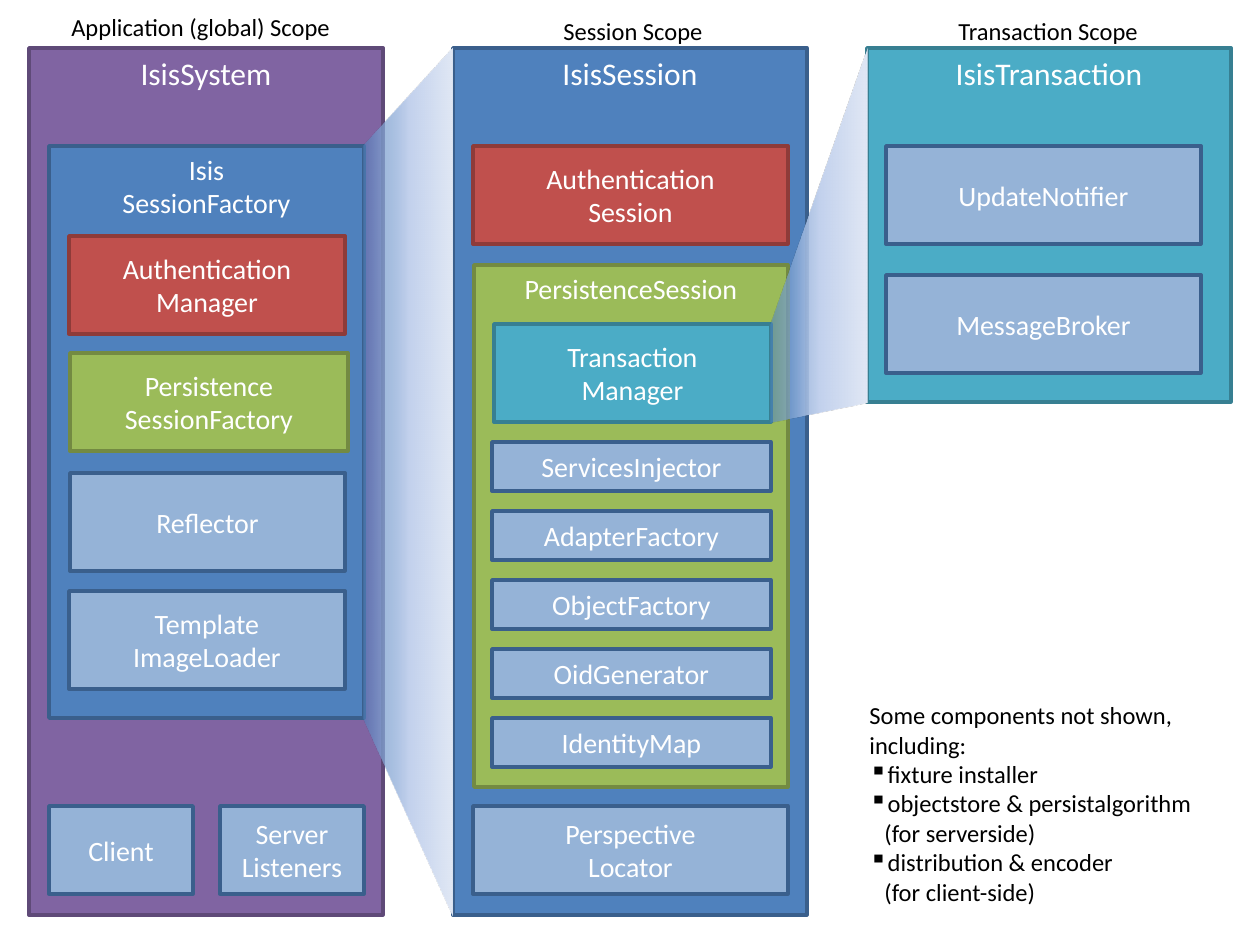
from copy import deepcopy

from lxml.etree import SubElement
from pptx import Presentation
from pptx.dml.color import RGBColor
from pptx.enum.shapes import MSO_SHAPE
from pptx.enum.text import MSO_ANCHOR, PP_ALIGN
from pptx.oxml.ns import qn
from pptx.util import Pt

SCALE = 914400 / 126
THEME = {
    "font": "Calibri",
    "scope_size": 18,
    "component_size": 16,
    "label_size": 14,
    "light": "FFFFFF",
    "dark": "000000",
    "purple": ("8064A2", "5F4A78"),
    "blue": ("4F81BD", "3A5F8C"),
    "red": ("C0504D", "8E3B39"),
    "green": ("9BBB59", "738A42"),
    "teal": ("4BACC6", "377F92"),
    "pale": ("95B3D7", "3A5F8C"),
    "beam": ((0, "4F81BD"), (0.5, "C2D1ED"), (1, "E1E8F5")),
    "beam_alpha": 56,
}


def px(*lengths):
    return [round(length * SCALE) for length in lengths]


def write(shape, lines, size, color, frame_format, alignment):
    frame = shape.text_frame
    for name, value in frame_format.items():
        setattr(frame, name, value)
    for index, line in enumerate(lines):
        paragraph = frame.add_paragraph() if index else frame.paragraphs[0]
        paragraph.text = line
        paragraph.alignment = alignment
        for run in paragraph.runs:
            for name, value in {"name": THEME["font"], "size": Pt(size)}.items():
                setattr(run.font, name, value)
            run.font.color.rgb = RGBColor.from_string(color)


presentation = Presentation()
presentation.slide_width, presentation.slide_height = px(1260, 945)
slide = presentation.slides.add_slide(presentation.slide_layouts[6])

scopes = [
    ("IsisSystem", "purple", 29, 48, 354, 867),
    ("IsisSession", "blue", 453, 48, 354, 867),
    ("IsisTransaction", "teal", 867, 48, 364, 354),
]
containers = [
    ("Isis\nSessionFactory", "blue", 49, 146, 315, 572),
    ("PersistenceSession", "green", 474, 265, 314, 522),
]
components = [
    ("Authentication\nManager", "red", 69, 236, 276, 98),
    ("Persistence\nSessionFactory", "green", 70, 353, 278, 98),
    ("Reflector", "pale", 70, 473, 275, 98),
    ("Template\nImageLoader", "pale", 69, 591, 276, 98),
    ("Client", "pale", 49, 806, 144, 88),
    ("Server\nListeners", "pale", 220, 806, 144, 88),
    ("Authentication\nSession", "red", 473, 146, 315, 98),
    ("Transaction\nManager", "teal", 494, 324, 277, 98),
    ("Perspective\nLocator", "pale", 473, 806, 315, 88),
    ("UpdateNotifier", "pale", 886, 146, 315, 98),
    ("MessageBroker", "pale", 886, 275, 315, 98),
]
services = ["ServicesInjector", "AdapterFactory", "ObjectFactory", "OidGenerator", "IdentityMap"]
for row, service in enumerate(services):
    components.append((service, "pale", 492, 442 + 69 * row, 279, 49))

groups = [
    (scopes, "scope_size", MSO_ANCHOR.TOP),
    (containers, "component_size", MSO_ANCHOR.TOP),
    (components, "component_size", MSO_ANCHOR.MIDDLE),
]
for boxes, size, anchor in groups:
    for label, palette, left, top, width, height in boxes:
        box = slide.shapes.add_shape(MSO_SHAPE.RECTANGLE, *px(left, top, width, height))
        fill_color, line_color = THEME[palette]
        box.shadow.inherit = False
        box.fill.solid()
        box.fill.fore_color.rgb = RGBColor.from_string(fill_color)
        box.line.color.rgb = RGBColor.from_string(line_color)
        box.line.width = Pt(2)
        frame_format = {"word_wrap": True, "vertical_anchor": anchor}
        write(box, [label], THEME[size], THEME["light"], frame_format, PP_ALIGN.CENTER)

beams = [
    [(364, 146), (452, 48), (452, 916), (364, 718)],
    [(771, 324), (867, 48), (867, 402), (771, 422)],
]
for corners in beams:
    builder = slide.shapes.build_freeform(*corners[0], scale=SCALE)
    builder.add_line_segments(corners[1:], close=True)
    beam = builder.convert_to_shape()
    beam.shadow.inherit = False
    beam.line.fill.background()
    beam.fill.gradient()
    beam.fill.gradient_angle = 0
    stop_list = next(beam._element.iter(qn("a:gsLst")))
    stop_list.append(deepcopy(stop_list[0]))
    for stop, (position, color) in zip(beam.fill.gradient_stops, THEME["beam"]):
        stop.position = position
        stop.color.rgb = RGBColor.from_string(color)
    first_color = stop_list[0][0]
    SubElement(first_color, qn("a:alpha"), val=str(THEME["beam_alpha"] * 1000))

notes = [
    "Some components not shown,\nincluding:",
    "fixture installer",
    "objectstore & persistalgorithm\n(for serverside)",
    "distribution & encoder\n(for client-side)",
]
labels = [
    (["Application (global) Scope"], 59, 6, 287, 43),
    (["Session Scope"], 551, 10, 166, 43),
    (["Transaction Scope"], 946, 10, 207, 43),
    (notes, 857, 694, 349, 221),
]
for lines, left, top, width, height in labels:
    text_box = slide.shapes.add_textbox(*px(left, top, width, height))
    write(text_box, lines, THEME["label_size"], THEME["dark"], {"word_wrap": False}, PP_ALIGN.LEFT)
    for paragraph in text_box.text_frame.paragraphs[1:]:
        properties = paragraph._p.get_or_add_pPr()
        indent = px(15)[0]
        for name, value in {"marL": indent, "indent": -indent}.items():
            properties.set(name, str(value))
        SubElement(properties, qn("a:buChar"), char="▪")

presentation.save("out.pptx")
